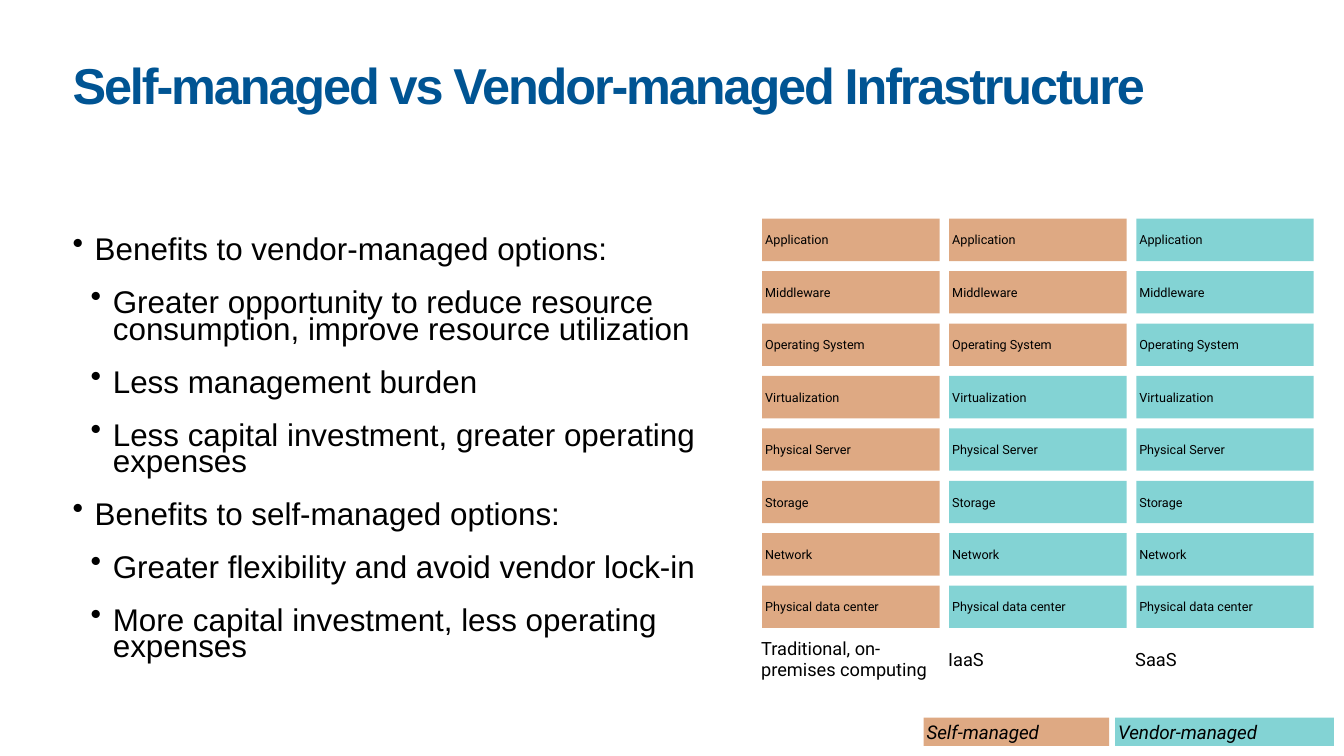
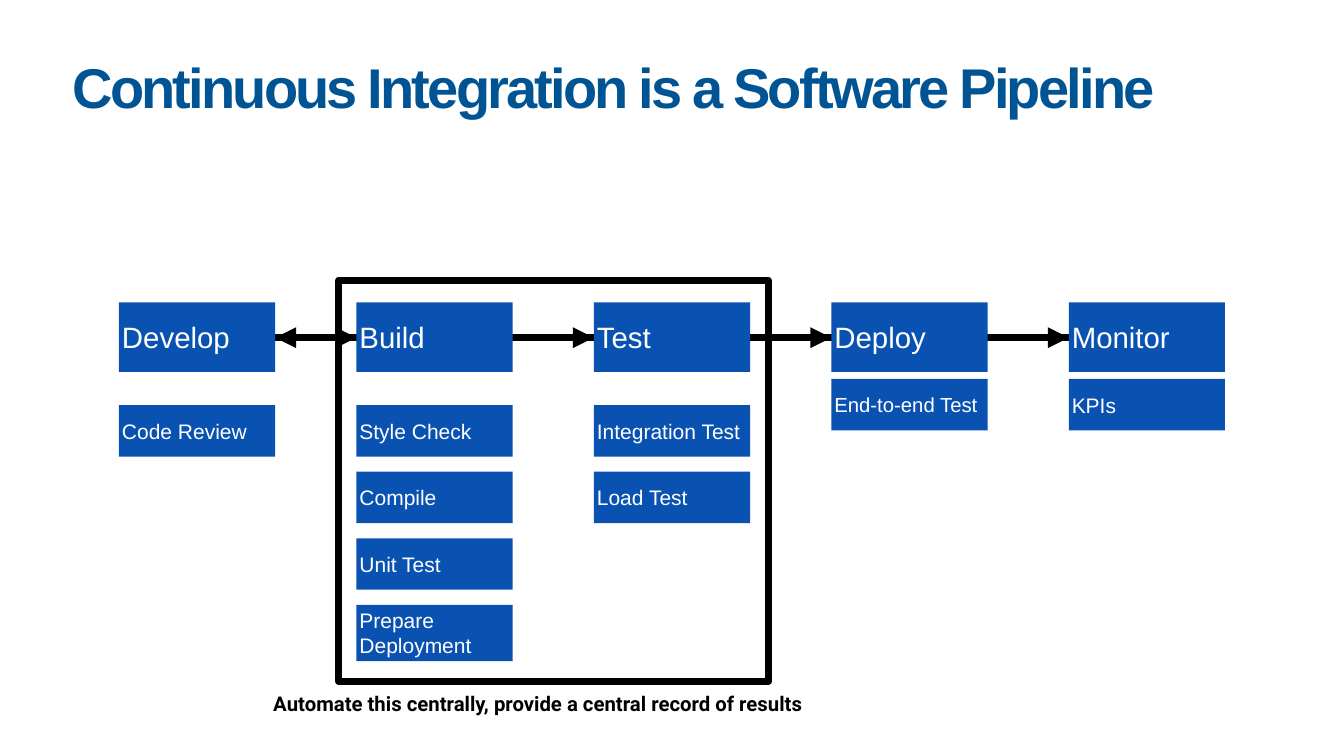
"""Build two slides: infrastructure management options and a CI pipeline."""
from lxml.etree import SubElement
from pptx import Presentation
from pptx.dml.color import RGBColor
from pptx.enum.shapes import MSO_CONNECTOR as Line, MSO_SHAPE as Preset
from pptx.enum.text import MSO_ANCHOR as Anchor, PP_ALIGN as Align
from pptx.oxml.ns import qn
from pptx.util import Inches, Pt

COLORS = {"title": "005493", "ink": "000000", "white": "FFFFFF",
          "self": "DEA983", "vendor": "83D3D4", "stage": "0A52B1"}
PAD = 0.03

BENEFITS = [
    ("Benefits to vendor-managed options:",
     ["Greater opportunity to reduce resource consumption, improve resource utilization",
      "Less management burden",
      "Less capital investment, greater operating expenses"]),
    ("Benefits to self-managed options:",
     ["Greater flexibility and avoid vendor lock-in",
      "More capital investment, less operating expenses"]),
]
LAYERS = ["Application", "Middleware", "Operating System", "Virtualization",
          "Physical Server", "Storage", "Network", "Physical data center"]
MODELS = [("Traditional, on-premises computing", 8), ("IaaS", 3), ("SaaS", 0)]
LEGEND = [("Self-managed", "self", 9.16, 1.84), ("Vendor-managed", "vendor", 11.06, 2.17)]

ROW_TOP, TASK_TOP, NEAR_TASK_TOP = 3.0, 4.02, 3.76
STAGES = [
    ("Develop", TASK_TOP, ["Code Review"], 15),
    ("Build", TASK_TOP, ["Style Check", "Compile", "Unit Test", "Prepare Deployment"], 15),
    ("Test", TASK_TOP, ["Integration Test", "Load Test"], 15),
    ("Deploy", NEAR_TASK_TOP, ["End-to-end Test"], 14.5),
    ("Monitor", NEAR_TASK_TOP, ["KPIs"], 15),
]
CAPTION = "Automate this centrally, provide a central record of results"


def rgb(name):
    return RGBColor.from_string(COLORS[name])


def style(paragraph, size, color="ink", font="Arial", bold=False, italic=False):
    for run in paragraph.runs:
        run.font.name = font
        run.font.size = Pt(size)
        run.font.bold = bold
        run.font.italic = italic
        run.font.color.rgb = rgb(color)


def setup_frame(frame, pad, anchor):
    frame.word_wrap = True
    frame.margin_left = frame.margin_right = Inches(pad)
    frame.margin_top = frame.margin_bottom = Inches(pad)
    frame.vertical_anchor = anchor


def add_text(slide, place, text, size, pad=PAD, anchor=Anchor.MIDDLE, **look):
    frame = slide.shapes.add_textbox(*map(Inches, place)).text_frame
    setup_frame(frame, pad, anchor)
    frame.text = text
    style(frame.paragraphs[0], size, **look)
    return frame


def add_block(slide, place, fill, text, size, **look):
    block = slide.shapes.add_shape(Preset.RECTANGLE, *map(Inches, place))
    block.shadow.inherit = False
    block.fill.solid()
    block.fill.fore_color.rgb = rgb(fill)
    block.line.fill.background()
    setup_frame(block.text_frame, PAD, Anchor.MIDDLE)
    block.text_frame.text = text
    paragraph = block.text_frame.paragraphs[0]
    paragraph.alignment = Align.LEFT
    style(paragraph, size, **look)


def add_titled_slide(deck, title, size, tracking):
    slide = deck.slides.add_slide(deck.slide_layouts[6])
    frame = add_text(slide, (0.66, 0.59, 12.01, 0.78), title, size,
                     pad=0.06, anchor=Anchor.TOP, color="title", bold=True)
    paragraph = frame.paragraphs[0]
    paragraph.line_spacing = 0.8
    paragraph.runs[0].font._element.set("spc", str(int(tracking * 100)))
    return slide


def add_benefits(slide):
    frame = slide.shapes.add_textbox(*map(Inches, (0.66, 2.32, 6.76, 4.51))).text_frame
    setup_frame(frame, 0.06, Anchor.TOP)
    lines = [(text, level) for heading, points in BENEFITS
             for text, level in [(heading, 0)] + [(point, 1) for point in points]]
    for index, (text, level) in enumerate(lines):
        paragraph = frame.add_paragraph() if index else frame.paragraphs[0]
        paragraph.text = text
        paragraph.level = level
        properties = paragraph._p.get_or_add_pPr()
        properties.set("marL", str(Inches(0.22 + 0.18 * level)))
        properties.set("indent", str(Inches(-0.22)))
        SubElement(properties, qn("a:buChar")).set("char", "•")
        paragraph.line_spacing = 0.7
        if index:
            paragraph.space_before = Pt(19)
        style(paragraph, 22.4)


def add_arrow(slide, start, end, y):
    arrow = slide.shapes.add_connector(Line.STRAIGHT, *map(Inches, (start, y, end, y)))
    arrow.line.color.rgb = rgb("ink")
    arrow.line.width = Pt(5)
    SubElement(arrow.line._get_or_add_ln(), qn("a:tailEnd")).set("type", "triangle")
    SubElement(arrow._element.spPr, qn("a:effectLst"))


def build_infrastructure(deck):
    slide = add_titled_slide(deck, "Self-managed vs Vendor-managed Infrastructure", 36, -1.5)
    add_benefits(slide)
    for text, owner, left, width in LEGEND:
        add_block(slide, (left, 7.12, width, 0.28), owner, text, 13.5,
                  font="Roboto", italic=True)
    for column, (model, self_managed) in enumerate(MODELS):
        left = 7.56 + 1.855 * column
        for row, layer in enumerate(LAYERS):
            owner = "self" if row < self_managed else "vendor"
            add_block(slide, (left, 2.17 + 0.52 * row, 1.76, 0.42), owner, layer, 9,
                      font="Roboto")
        add_text(slide, (left - 0.04, 6.29, 1.84, 0.49), model, 13, font="Roboto")


def build_pipeline(deck):
    slide = add_titled_slide(deck, "Continuous Integration is a Software Pipeline", 40, -2)
    scope = slide.shapes.add_shape(Preset.RECTANGLE, *map(Inches, (3.36, 2.78, 4.26, 3.98)))
    scope.shadow.inherit = False
    scope.fill.background()
    scope.line.color.rgb = rgb("ink")
    scope.line.width = Pt(5)

    width = 1.55
    lefts = [1.18 + 2.355 * column for column in range(len(STAGES))]
    for left, following in zip(lefts, lefts[1:]):
        add_arrow(slide, left + width, following, 3.35)
    add_arrow(slide, lefts[-1], lefts[0] + width, 3.35)

    for left, (stage, top, tasks, size) in zip(lefts, STAGES):
        add_block(slide, (left, ROW_TOP, width, 0.69), "stage", stage, 21, color="white")
        for row, task in enumerate(tasks):
            height = 0.56 if row == 3 else 0.51
            add_block(slide, (left, top + 0.66 * row, width, height), "stage", task, size,
                      color="white")
    add_text(slide, (2.68, 6.83, 5.71, 0.3), CAPTION, 14.5, font="Roboto", bold=True)


def main():
    deck = Presentation()
    deck.slide_width, deck.slide_height = Inches(13.33), Inches(7.5)
    build_infrastructure(deck)
    build_pipeline(deck)
    deck.save("out.pptx")


if __name__ == "__main__":
    main()
